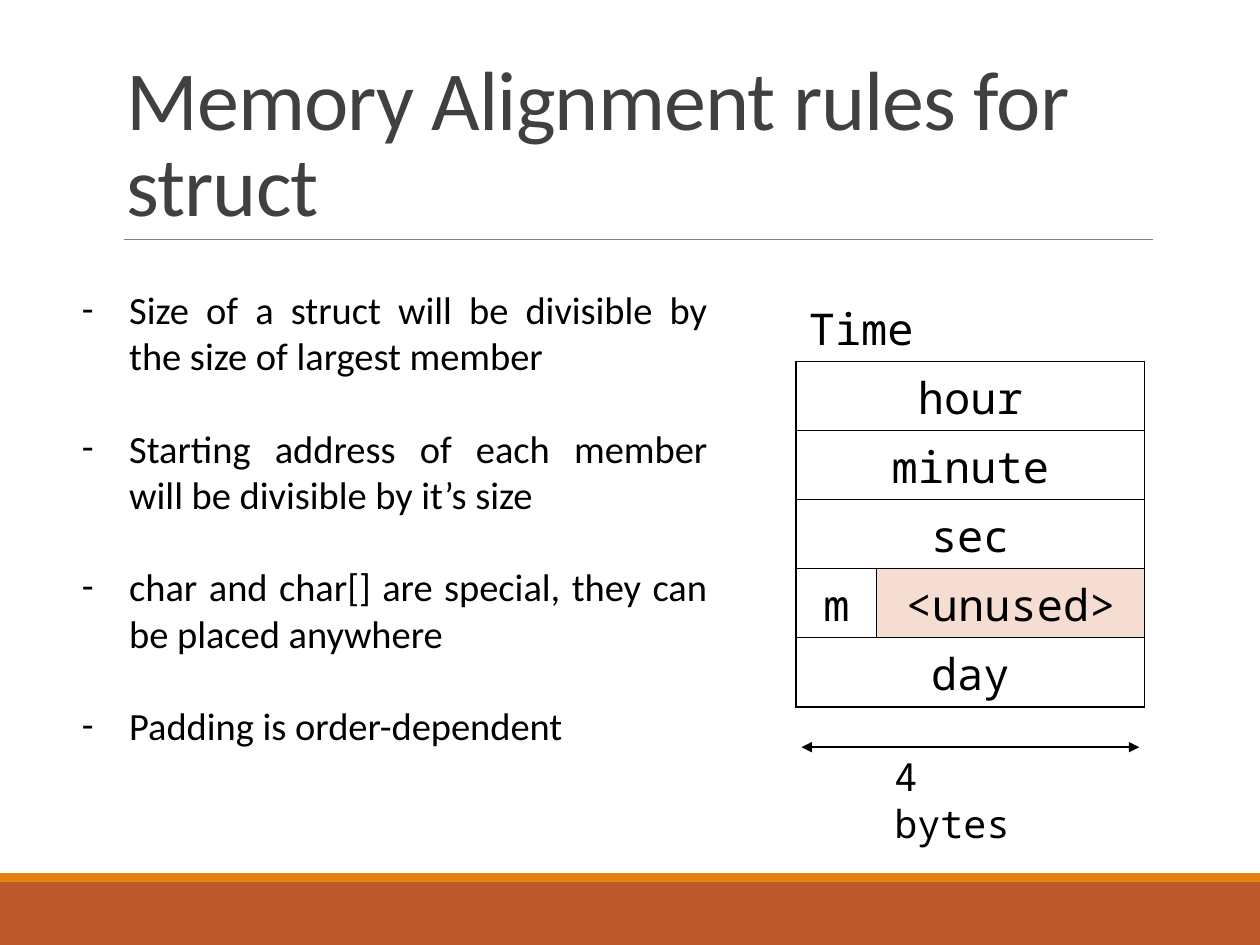
import pptx
import pptx.util
import pptx.dml.color
import pptx.enum.shapes
import pptx.enum.text
import pptx.oxml
import pptx.oxml.ns
from dataclasses import dataclass

Pt = pptx.util.Pt
qn = pptx.oxml.ns.qn
Align = pptx.enum.text.PP_ALIGN


@dataclass(frozen=True)
class Theme:
    sans: str = "Calibri"
    mono: str = "Noto Sans Mono"
    ink: str = "000000"
    head: str = "404040"
    rule: str = "808080"
    band: str = "BD582C"
    trim: str = "E48312"
    pad: str = "F5DDD2"
    title: float = 48
    body: float = 22
    cell: float = 25


LOOK = Theme()
RULES = [
    "Size of a struct will be divisible by the size of largest member",
    "Starting address of each member will be divisible by it’s size",
    "char and char[] are special, they can be placed anywhere",
    "Padding is order-dependent",
]
ROWS = [["Time"], ["hour"], ["minute"], ["sec"], ["m", "<unused>"], ["day"]]


def rgb(code):
    return pptx.dml.color.RGBColor.from_string(code)


def add_tag(host, tag, **attrs):
    node = host.makeelement(qn(tag), attrs)
    host.append(node)
    return node


def style(para, font, size, color, align=Align.LEFT):
    para.alignment = align
    for run in para.runs:
        run.font.name = font
        run.font.size = Pt(size)
        run.font.color.rgb = rgb(color)


def place(shape, box):
    shape.left, shape.top, shape.width, shape.height = map(Pt, box)


def add_bar(slide, box, color):
    bar = slide.shapes.add_shape(
        pptx.enum.shapes.MSO_SHAPE.RECTANGLE, *map(Pt, box))
    bar.shadow.inherit = False
    bar.fill.solid()
    bar.fill.fore_color.rgb = rgb(color)
    bar.line.fill.background()


def add_line(slide, left, top, width, color, weight, arrows=False):
    line = slide.shapes.add_connector(
        pptx.enum.shapes.MSO_CONNECTOR.STRAIGHT,
        Pt(left), Pt(top), Pt(left + width), Pt(top))
    line.line.color.rgb = rgb(color)
    line.line.width = Pt(weight)
    if arrows:
        for tag in ("a:headEnd", "a:tailEnd"):
            add_tag(line.line._get_or_add_ln(), tag, type="triangle")
    add_tag(line._element.spPr, "a:effectLst")


def add_foot(slide, box):
    left, top, width, height = box
    trim = 5
    add_bar(slide, (left, top + trim, width, height - trim), LOOK.band)
    add_bar(slide, (left, top, width, trim), LOOK.trim)


def add_title(slide, box):
    left, top, width, height = box
    title = slide.shapes.title
    place(title, box)
    frame = title.text_frame
    frame.text = "Memory Alignment rules for struct"
    frame.auto_size = pptx.enum.text.MSO_AUTO_SIZE.NONE
    frame.vertical_anchor = pptx.enum.text.MSO_ANCHOR.BOTTOM
    para = frame.paragraphs[0]
    para.line_spacing = 0.85
    style(para, LOOK.sans, LOOK.title, LOOK.head)
    para.runs[0].font._element.set("spc", "-50")
    add_line(slide, left + 5.6, top + height, width - 5.6, LOOK.rule, 0.5)


def add_rules(slide, box):
    body = slide.placeholders[1]
    place(body, box)
    frame = body.text_frame
    frame.text = "\n".join(RULES)
    frame.auto_size = pptx.enum.text.MSO_AUTO_SIZE.NONE
    for para in frame.paragraphs:
        style(para, LOOK.sans, LOOK.body, LOOK.ink, Align.JUSTIFY)
        para.space_before = Pt(0)
        para.space_after = Pt(26.4)
        props = para._p.get_or_add_pPr()
        props.set("marL", str(Pt(27)))
        props.set("indent", str(-Pt(27)))
        add_tag(props, "a:buFont", typeface=LOOK.sans)
        add_tag(props, "a:buChar", char="-")


def edge(cell, sides):
    props = cell._tc.get_or_add_tcPr()
    for spot, side in enumerate("LRTB"):
        line = props.makeelement(qn("a:ln" + side), {"w": str(Pt(1))})
        if side in sides:
            fill = add_tag(line, "a:solidFill")
            add_tag(fill, "a:srgbClr", val=LOOK.ink)
        else:
            add_tag(line, "a:noFill")
        props.insert(spot, line)


def add_grid(slide, box):
    left, top, width, height = box
    grid = slide.shapes.add_table(len(ROWS), 2, *map(Pt, box)).table
    grid.first_row = grid.horz_banding = False
    byte = 46
    grid.columns[0].width = Pt(byte)
    grid.columns[1].width = Pt(width - byte)
    for r, words in enumerate(ROWS):
        grid.rows[r].height = Pt(height / len(ROWS))
        if len(words) == 1:
            grid.cell(r, 0).merge(grid.cell(r, 1))
        for c in range(2):
            cell = grid.cell(r, c)
            cell.margin_top, cell.margin_bottom = Pt(3.6), Pt(0)
            if c < len(words):
                cell.text = words[c]
                style(cell.text_frame.paragraphs[0], LOOK.mono, LOOK.cell,
                      LOOK.ink, Align.CENTER if r else Align.LEFT)
            if words[-1] == "<unused>" and c == 1:
                cell.fill.solid()
                cell.fill.fore_color.rgb = rgb(LOOK.pad)
            else:
                cell.fill.background()
            edge(cell, "LRTB" if r else "B")


def add_width(slide, box):
    left, top, width, height = box
    add_line(slide, left, top, width, LOOK.ink, 1, arrows=True)
    label = slide.shapes.add_textbox(
        Pt(left + 46), Pt(top), Pt(100), Pt(height))
    frame = label.text_frame
    frame.word_wrap = True
    frame.text = "4 bytes"
    style(frame.paragraphs[0], LOOK.mono, LOOK.body, LOOK.ink)


def main():
    deck = pptx.Presentation()
    deck.slide_width, deck.slide_height = Pt(720), Pt(540)
    slide = deck.slides.add_slide(deck.slide_layouts[1])
    add_foot(slide, (0, 499, 720, 41))
    add_title(slide, (65, 22.5, 594, 114.5))
    add_rules(slide, (39.6, 160, 372, 273.6))
    add_grid(slide, (455, 167, 199, 237))
    add_width(slide, (458, 427, 193, 34))
    deck.save("out.pptx")


if __name__ == "__main__":
    main()
